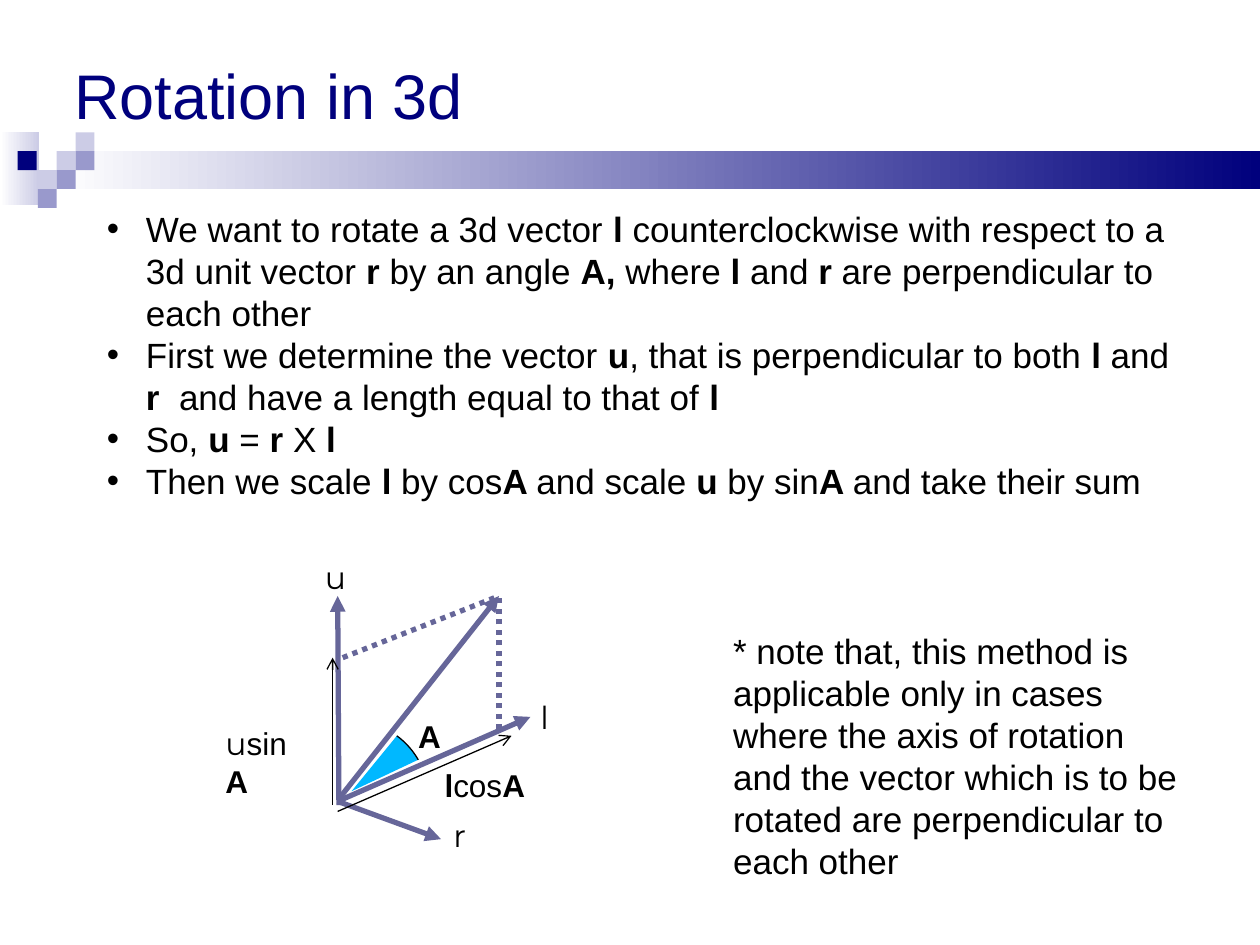
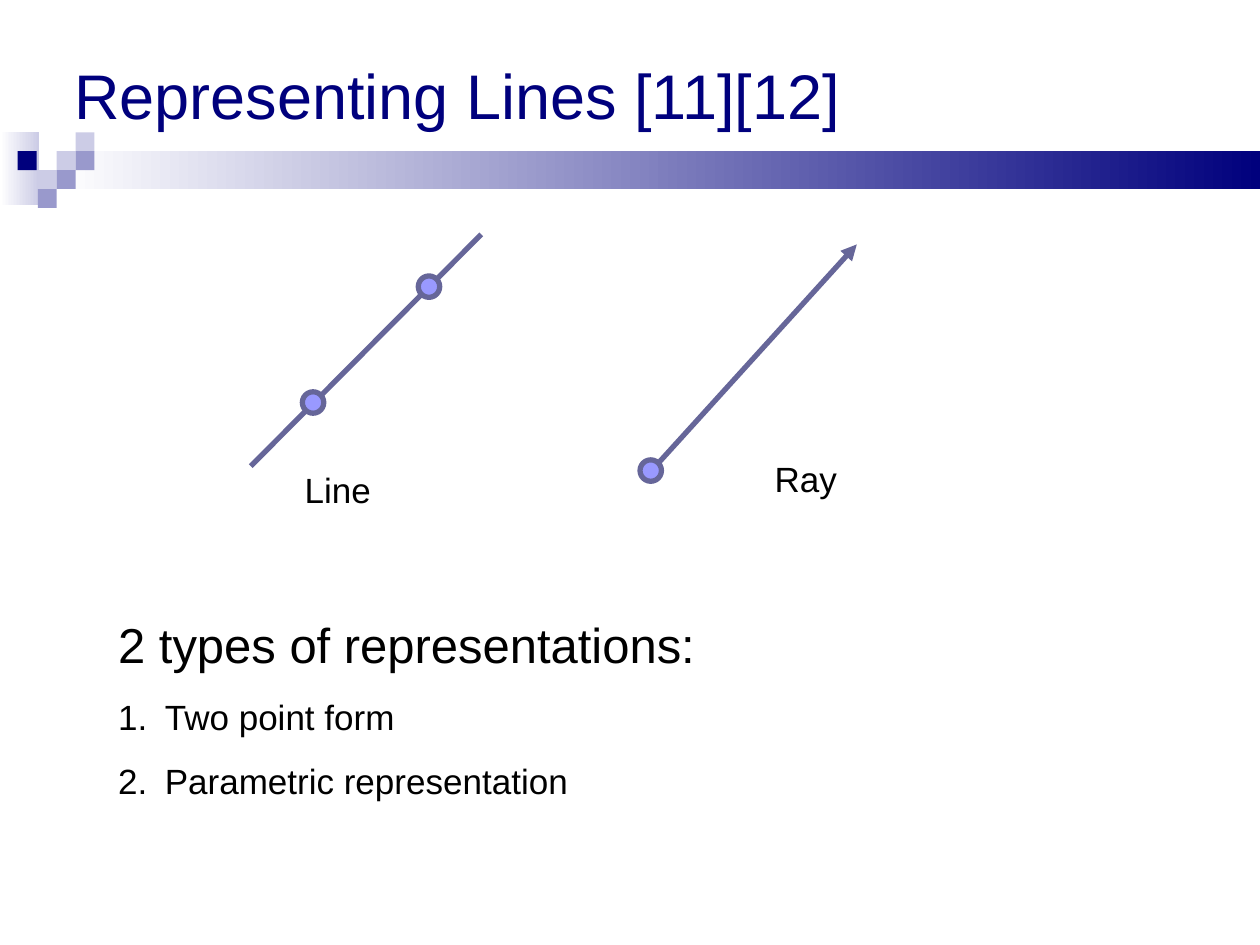
from lxml.etree import SubElement
from pptx import Presentation
from pptx.dml.color import RGBColor
from pptx.enum.dml import MSO_LINE
from pptx.enum.shapes import MSO_CONNECTOR, MSO_SHAPE
from pptx.enum.text import MSO_ANCHOR, PP_ALIGN
from pptx.oxml.ns import qn
from pptx.util import Emu, Pt

PX = 9144  # 100 px to the inch
NAVY = RGBColor(0x00, 0x00, 0x7D)
LILAC = RGBColor(0x99, 0x99, 0xCC)
PALE = RGBColor(0xCC, 0xCC, 0xE6)
WHITE = RGBColor(0xFF, 0xFF, 0xFF)
BLACK = RGBColor(0x00, 0x00, 0x00)
SLATE = RGBColor(0x66, 0x66, 0x99)
DOT = RGBColor(0x99, 0x99, 0xFF)
CYAN = RGBColor(0x00, 0xB8, 0xFF)
SANS, SYMBOL = "Arial", "Montserrat"

ROTATION_STEPS = [
    "We want to rotate a 3d vector |l| counterclockwise with respect to a 3d unit "
    "vector |r| by an angle |A, |where |l| and |r| are perpendicular to each other",
    "First we determine the vector |u|, that is perpendicular to both |l| and "
    "|r | and have a length equal to that of |l",
    "So, |u| = |r| X |l",
    "Then we scale |l| by cos|A |and scale |u| by sin|A |and take their sum",
]
ROTATION_NOTE = (
    "* note that, this method is applicable only in cases where the axis of rotation "
    "and the vector which is to be rotated are perpendicular to each other")


def px(*values):
    return [Emu(round(v * PX)) for v in values]


def shift(origin, x, y):
    return origin[0] + x, origin[1] + y


def add_runs(p, marked, size, font=SANS, color=BLACK):
    """Add runs split at |, every second one bold."""
    for i, part in enumerate(marked.split("|")):
        if part:
            r = p.add_run()
            r.text = part
            r.font.size, r.font.name = Pt(size), font
            r.font.bold = i % 2 == 1
            r.font.color.rgb = color


def add_frame(s, x, y, w, h, wrap=True):
    tb = s.shapes.add_textbox(*px(x, y, w, h))
    tb.text_frame.word_wrap = wrap
    return tb


def add_label(s, x, y, w, h, marked, size, font=SANS, wrap=True):
    p = add_frame(s, x, y, w, h, wrap).text_frame.paragraphs[0]
    add_runs(p, marked, size, font)
    return p


def set_indent(p, left, first, tag=None, **attrs):
    pPr = p._p.get_or_add_pPr()
    pPr.set("marL", str(left * PX))
    pPr.set("indent", str(first * PX))
    if tag:
        SubElement(pPr, qn("a:buFont"), typeface=SANS)
        SubElement(pPr, qn(tag), **attrs)


def add_line(s, start, end, color=SLATE, width=3, tail=None, dash=None):
    c = s.shapes.add_connector(MSO_CONNECTOR.STRAIGHT, *px(*start, *end))
    c.line.color.rgb, c.line.width = color, Pt(width)
    if dash:
        c.line.dash_style = dash
    spPr = c._element.spPr
    if tail:
        SubElement(spPr.find(qn("a:ln")), qn("a:tailEnd"), type=tail)
    SubElement(spPr, qn("a:effectLst"))


def add_block(s, x, y, w, h, color, kind=MSO_SHAPE.RECTANGLE, fade=False):
    sp = s.shapes.add_shape(kind, *px(x, y, w, h))
    sp.shadow.inherit = False
    if fade:
        sp.fill.gradient()
        sp.fill.gradient_angle = 0
        for stop, rgb in zip(sp.fill.gradient_stops, (WHITE, color)):
            stop.color.rgb = rgb
    else:
        sp.fill.solid()
        sp.fill.fore_color.rgb = color
    sp.line.fill.background()
    return sp


def add_band(s, top):
    add_block(s, 0, top, 31, 58, PALE, fade=True)
    add_block(s, 45, top + 15, 955, 30, NAVY, fade=True)
    cells = [(2, 1, PALE), (3, 0, PALE), (3, 1, LILAC), (1, 2, PALE),
             (2, 2, LILAC), (1, 3, LILAC)]
    for col, row, color in cells:
        add_block(s, 15 + 15 * col, top + 15 * row, 15, 15, color)
    add_block(s, 14, top + 15, 15, 15, NAVY)


def add_titled_slide(prs, title):
    s = prs.slides.add_slide(prs.slide_layouts[5])
    add_band(s, 105)
    sp = s.shapes.title
    sp.left, sp.top, sp.width, sp.height = px(49, 0, 900, 150)
    tf = sp.text_frame
    tf.vertical_anchor = MSO_ANCHOR.MIDDLE
    p = tf.paragraphs[0]
    p.alignment = PP_ALIGN.LEFT
    add_runs(p, title, 36, color=NAVY)
    return s


def add_steps(s, box, steps):
    tb = add_frame(s, *box)
    tf = tb.text_frame
    for i, step in enumerate(steps):
        p = tf.add_paragraph() if i else tf.paragraphs[0]
        set_indent(p, 31, -31, "a:buChar", char="•")
        add_runs(p, step, 20)


def add_angle_wedge(s, origin):
    start, c1, c2, end = (155, 154), (162, 159), (168, 166), (172, 173)
    steps = 12
    arc = []
    for i in range(steps + 1):
        t = i / steps
        point = [(1 - t) ** 3 * a + 3 * t * (1 - t) ** 2 * b
                 + 3 * t * t * (1 - t) * c + t ** 3 * d
                 for a, b, c, d in zip(start, c1, c2, end)]
        arc.append(px(*shift(origin, *point)))
    tip = px(*shift(origin, 119, 198))
    for outline, closed in ((arc + [tip], True), (arc, False)):
        builder = s.shapes.build_freeform(*outline[0])
        builder.add_line_segments(outline[1:], close=closed)
        sp = builder.convert_to_shape()
        sp.shadow.inherit = False
        if closed:
            sp.fill.solid()
            sp.fill.fore_color.rgb = CYAN
            sp.line.fill.background()
        else:
            sp.fill.background()
            sp.line.color.rgb, sp.line.width = BLACK, Pt(0.75)


def add_vector_diagram(s, origin):
    def line(start, end, **style):
        add_line(s, shift(origin, *start), shift(origin, *end), **style)

    def label(x, y, w, marked, font=SANS, wrap=True):
        return add_label(s, *shift(origin, x, y), w, 40, marked, 18, font, wrap)

    total = (236, 43)
    line((108, 206), (190, 236), tail="triangle")
    line((109, 209), (108, 43), tail="triangle")
    line((109, 204), total, tail="triangle")
    for start, end in (((104, 209), (104, 92)), ((108, 214), (246, 154))):
        line(start, end, color=BLACK, width=0.75, tail="arrow")
    for start in ((112, 92), (236, 149)):
        line(start, total, dash=MSO_LINE.ROUND_DOT)
    label(183, 173, 84, "|l|cos|A", wrap=False)
    add_runs(label(9, 140, 82, "u", SYMBOL), "sin|A", 18)
    label(162, 134, 38, "|A", wrap=False)
    add_angle_wedge(s, origin)
    line((108, 206), (261, 139), tail="triangle")
    for name, x, y in (("l", 259, 119), ("r", 190, 213), ("u", 88, 8)):
        label(x, y, 42, name, SYMBOL)


def add_line_figure(s, origin, start, end, dots, name, name_at, tail=None):
    add_line(s, shift(origin, *start), shift(origin, *end), tail=tail)
    add_label(s, *shift(origin, *name_at), 92, 44, name, 20)
    for dot in dots:
        sp = add_block(s, *shift(origin, *dot), 17, 17, DOT, MSO_SHAPE.OVAL)
        sp.line.color.rgb, sp.line.width = SLATE, Pt(3)


def add_numbered_list(s, box, heading, items):
    tf = add_frame(s, *box).text_frame
    set_indent(tf.paragraphs[0], 38, -37)
    add_runs(tf.paragraphs[0], heading, 28)
    for item in items:
        p = tf.add_paragraph()
        p.space_before = Pt(12.5)
        set_indent(p, 38, -37, "a:buAutoNum", type="arabicPeriod")
        add_runs(p, item, 20)


def build_rotation_slide(prs):
    s = add_titled_slide(prs, "Rotation in 3d")
    add_steps(s, (75, 160, 874, 244), ROTATION_STEPS)
    add_vector_diagram(s, (160, 430))
    add_label(s, 572, 495, 374, 210, ROTATION_NOTE, 20)


def build_lines_slide(prs):
    s = add_titled_slide(prs, "Representing Lines [11][12]")
    add_line_figure(s, (199, 186), (0, 184), (183, 0), [(41, 125), (133, 33)],
                    "Line", (33, 181))
    add_line_figure(s, (508, 194), (5, 184), (172, 0), [(0, 171)],
                    "Ray", (97, 164), tail="triangle")
    add_numbered_list(s, (83, 483, 700, 158), "2 types of representations:",
                      ["Two point form", "Parametric representation"])


def main():
    prs = Presentation()
    prs.slide_width, prs.slide_height = px(1000, 750)
    build_rotation_slide(prs)
    build_lines_slide(prs)
    prs.save("out.pptx")


if __name__ == "__main__":
    main()
